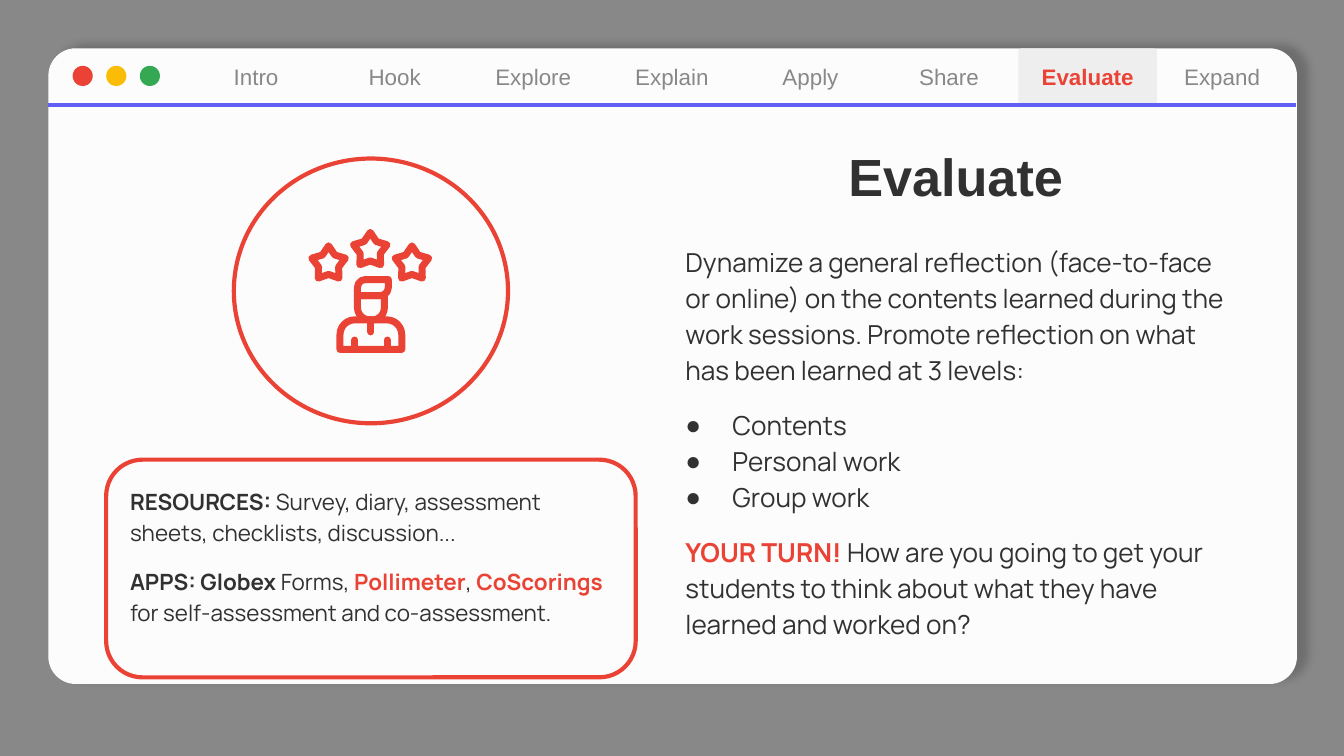
from lxml import etree
from pptx import Presentation, util as u
from pptx.dml.color import RGBColor
from pptx.enum import shapes, text
from pptx.oxml import parse_xml
from pptx.oxml.ns import nsdecls, qn

COLORS = {
    "backdrop": "888888", "panel": "FCFCFC", "ink": "313131", "muted": "888888",
    "tab": "EEEEEE", "red": "EA4335", "yellow": "FBBC05", "green": "34A853", "rule": "5F5FF5",
}
KINDS = shapes.MSO_SHAPE
ALIGN = text.PP_ALIGN
ANCHOR = text.MSO_ANCHOR


def color(name):
    return RGBColor.from_string(COLORS[name])


class SlideBuilder:
    """Holds the style and the current slide, and adds each kind of element."""

    heading_font, body_font = "Arial", "Manrope"

    def __init__(self, presentation):
        self.slide = presentation.slides.add_slide(presentation.slide_layouts[1])
        self.slide.background.fill.solid()
        self.slide.background.fill.fore_color.rgb = color("backdrop")

    def group(self):
        return self.slide.shapes.add_group_shape()

    def shape(self, kind, box, fill=None, line=None, width=2.25, radius=None, parent=None):
        shape = (parent or self.slide).shapes.add_shape(kind, *map(u.Inches, box))
        shape.shadow.inherit = False
        if radius is not None:
            shape.adjustments[0] = radius
        if fill:
            shape.fill.solid()
            shape.fill.fore_color.rgb = color(fill)
        else:
            shape.fill.background()
        if line:
            shape.line.color.rgb = color(line)
            shape.line.width = u.Pt(width)
        else:
            shape.line.fill.background()
        return shape

    def panel(self, box):
        panel = self.shape(KINDS.ROUNDED_RECTANGLE, box, "panel", radius=0.043)
        effects = panel._element.spPr.find(qn("a:effectLst"))
        effects.append(parse_xml(
            f'<a:outerShdw {nsdecls("a")} blurRad="{u.Pt(4.5)}" dist="{u.Pt(6)}" '
            f'dir="{342 * 60000}" algn="bl" rotWithShape="0">'
            f'<a:srgbClr val="{COLORS["ink"]}"><a:alpha val="30000"/></a:srgbClr></a:outerShdw>'))

    def line(self, start, end, name, width, parent=None):
        line = (parent or self.slide).shapes.add_connector(
            shapes.MSO_CONNECTOR.STRAIGHT, *map(u.Inches, start + end))
        line.line.color.rgb = color(name)
        line.line.width = u.Pt(width)
        etree.SubElement(line._element.spPr, qn("a:effectLst"))
        return line

    def stroke(self, shape):
        outline = shape.line._get_or_add_ln()
        outline.set("cap", "rnd")
        etree.SubElement(outline, qn("a:round"))

    def frame(self, shape, anchor, inset=0.1):
        frame = shape.text_frame
        frame.word_wrap = True
        frame.auto_size = text.MSO_AUTO_SIZE.NONE
        frame.vertical_anchor = anchor
        frame.margin_left = frame.margin_right = u.Inches(inset)
        frame.margin_top = frame.margin_bottom = u.Inches(inset)
        return frame

    def label(self, shape, words, size, name, bold=False, anchor=ANCHOR.MIDDLE, inset=0, spacing=1):
        paragraph = self.frame(shape, anchor, inset).paragraphs[0]
        paragraph.text = words
        paragraph.alignment = ALIGN.CENTER
        paragraph.line_spacing = spacing
        font = paragraph.font
        font.name, font.size, font.bold = self.heading_font, u.Pt(size), bold
        font.color.rgb = color(name)

    def paragraphs(self, shape, items, size):
        frame = self.frame(shape, ANCHOR.TOP)
        for index, (runs, before, bullet) in enumerate(items):
            paragraph = frame.paragraphs[0] if index == 0 else frame.add_paragraph()
            paragraph.alignment = ALIGN.LEFT
            paragraph.line_spacing = 1.15
            paragraph.space_before = u.Pt(before)
            self.bullet(paragraph, bullet)
            paragraph.font.name, paragraph.font.size = self.body_font, u.Pt(size)
            for words, name, bold in runs:
                run = paragraph.add_run()
                run.text = words
                run.font.bold = bold
                run.font.color.rgb = color(name)

    def bullet(self, paragraph, shown):
        properties = paragraph._p.get_or_add_pPr()
        indent = u.Inches(0.35) if shown else 0
        properties.set("marL", str(indent))
        properties.set("indent", str(-indent))
        if shown:
            tint = etree.SubElement(properties, qn("a:buClr"))
            etree.SubElement(tint, qn("a:srgbClr"), val=COLORS["ink"])
            etree.SubElement(properties, qn("a:buFont"), typeface=self.heading_font)
            etree.SubElement(properties, qn("a:buChar"), char="●")
        else:
            etree.SubElement(properties, qn("a:buNone"))

    def placeholder(self, index, box):
        shape = self.slide.placeholders[index]
        shape.left, shape.top, shape.width, shape.height = map(u.Inches, box)
        self.slide.shapes._spTree.append(shape._element)
        return shape

    def tabs(self, names, active, left, right):
        step = (right - left) / len(names)
        for index, name in enumerate(names):
            chosen, last = name == active, name == names[-1]
            kind, radius, inset = ((KINDS.ROUND_1_RECTANGLE, 0.5, 0.1) if last
                                   else (KINDS.ROUNDED_RECTANGLE, 0.06, 0))
            tab = self.shape(kind, (left + index * step, 0.36, step, 0.42),
                             "tab" if chosen else None, radius=radius)
            self.label(tab, name, 12, "red" if chosen else "muted", chosen, inset=inset)

    def window_buttons(self):
        group = self.group()
        for index, name in enumerate(("red", "yellow", "green")):
            self.shape(KINDS.OVAL, (0.54 + index * 0.25, 0.49, 0.15, 0.15), name, parent=group)

    def person_with_stars(self):
        group, width = self.group(), 3.75
        parts = [(KINDS.STAR_5_POINT, (x, y, 0.25, 0.24), 0.3, 0)
                 for x, y in ((2.32, 1.83), (2.63, 1.73), (2.94, 1.83))]
        parts += [
            (KINDS.ROUND_2_SAME_RECTANGLE, (2.53, 2.38, 0.46, 0.22), 0.5, 0),
            (KINDS.ROUND_2_SAME_RECTANGLE, (2.66, 2.2, 0.2, 0.18), 0.5, 180),
            (KINDS.ROUND_2_DIAG_RECTANGLE, (2.66, 2.08, 0.23, 0.12), 0.5, 0),
        ]
        for kind, box, radius, rotation in parts:
            part = self.shape(kind, box, None, "red", width, radius, group)
            part.rotation = rotation
            self.stroke(part)
        for x, top, bottom in ((2.64, 2.53, 2.6), (2.88, 2.53, 2.6), (2.76, 2.38, 2.47)):
            self.stroke(self.line((x, top), (x, bottom), "red", width, group))


def main():
    presentation = Presentation()
    presentation.slide_width = u.Inches(10)
    presentation.slide_height = presentation.slide_width * 9 // 16
    builder = SlideBuilder(presentation)

    builder.panel((0.36, 0.36, 9.29, 4.73))
    builder.tabs(("Intro", "Hook", "Explore", "Explain", "Apply", "Share", "Evaluate", "Expand"),
                 "Evaluate", 1.39, 9.64)
    builder.window_buttons()
    builder.line((0.36, 0.78), (9.64, 0.78), "rule", 2.25)

    builder.shape(KINDS.OVAL, (1.74, 1.18, 2.04, 1.97), line="red")
    card = builder.shape(KINDS.ROUNDED_RECTANGLE, (0.79, 3.42, 3.94, 1.62), line="red", radius=0.167)
    builder.paragraphs(card, [
        ([("RESOURCES:", "ink", True),
          (" Survey, diary, assessment sheets, checklists, discussion...", "ink", False)], 0, False),
        ([("APPS: Globex ", "ink", True), ("Forms, ", "ink", False), ("Pollimeter", "red", True),
          (", ", "ink", False), ("CoScorings ", "red", True),
          ("for self-assessment and co-assessment.", "ink", False)], 10, False),
    ], 12)
    builder.person_with_stars()

    body = builder.placeholder(1, (5, 1.7, 4.22, 3.34))
    levels = ("Contents", "Personal work", "Group work")
    builder.paragraphs(body, [
        ([("Dynamize a general reflection (face-to-face or online) on the contents learned during "
           "the work sessions. Promote reflection on what has been learned at 3 levels:",
           "ink", False)], 0, False),
        *[([(level, "ink", False)], 0 if index else 10, True) for index, level in enumerate(levels)],
        ([("YOUR TURN! ", "red", True),
          ("How are you going to get your students to think about what they have learned "
           "and worked on?", "ink", False)], 10, False),
    ], 14)
    title = builder.placeholder(0, (5, 1.13, 4.22, 0.51))
    builder.label(title, "Evaluate", 28, "ink", True, ANCHOR.BOTTOM, 0.1, 0.8)

    presentation.save("out.pptx")


if __name__ == "__main__":
    main()
